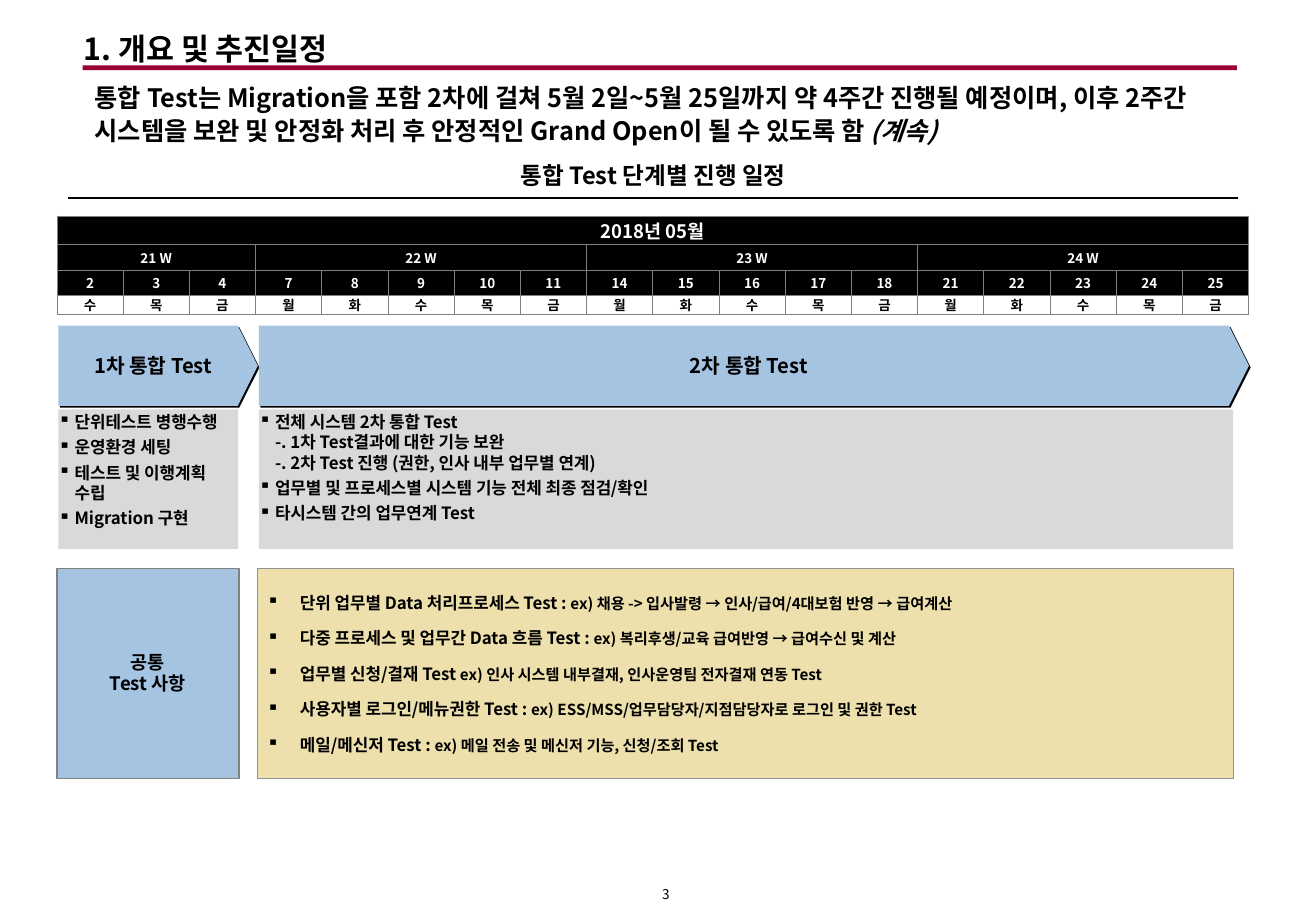
from dataclasses import dataclass

from lxml import etree
from pptx import Presentation
from pptx.dml.color import RGBColor
from pptx.enum.shapes import MSO_CONNECTOR, MSO_SHAPE
from pptx.enum.text import MSO_ANCHOR, PP_ALIGN
from pptx.oxml.ns import qn
from pptx.util import Cm, Pt

LEFT, CENTER = PP_ALIGN.LEFT, PP_ALIGN.CENTER
TOP, MIDDLE, BOTTOM = MSO_ANCHOR.TOP, MSO_ANCHOR.MIDDLE, MSO_ANCHOR.BOTTOM
RECTANGLE, PENTAGON = MSO_SHAPE.RECTANGLE, MSO_SHAPE.PENTAGON
STRAIGHT = MSO_CONNECTOR.STRAIGHT

FONT = "Noto Sans CJK KR"
BLACK, WHITE, BLUE, GREY = "000000", "FFFFFF", "A5C4E1", "D9D9D9"
SAND, CRIMSON, BORDER, SAND_BORDER = "EEE0AC", "990033", "808080", "919191"
DEFAULT_INSETS = (0.25, 0.13, 0.25, 0.13)
NO_INSETS = (0, 0, 0, 0)
TASK_INSETS = (0, 0.05, 0, 0.05)


@dataclass
class Run:
    text: str
    size: float
    bold: bool = True
    italic: bool = False
    color: str = BLACK


@dataclass
class TextStyle:
    align: PP_ALIGN = LEFT
    anchor: MSO_ANCHOR = TOP
    insets: tuple = DEFAULT_INSETS
    line_spacing: float = 1.0
    space_before: float = 0
    bullet_indent: float = 0
    wrap: bool = True


@dataclass
class Block:
    """A shape or, without a kind, a text box; box is left, top, width, height in cm."""
    box: tuple
    paragraphs: list
    style: TextStyle
    kind: MSO_SHAPE | None = None
    fill: str = WHITE
    line: str | None = None


TASKS = TextStyle(insets=TASK_INSETS, space_before=3, bullet_indent=0.34)
CHECKS = TextStyle(anchor=MIDDLE, insets=(0.2, 0.03, 0.03, 0.03), space_before=9, bullet_indent=0.69)
CENTERED = TextStyle(align=CENTER, anchor=MIDDLE)
LABEL = TextStyle(align=CENTER, anchor=MIDDLE, insets=NO_INSETS, line_spacing=0.95)
PAGE_NUMBER = TextStyle(align=CENTER, anchor=BOTTOM, insets=(0.05,) * 4, wrap=False)


def task_list(*texts: str) -> list:
    return [[Run(text, 10)] for text in texts]


CHECK_ITEMS = [
    ("단위 업무별 Data 처리프로세스 Test : ", "ex) 채용 -> 입사발령 → 인사/급여/4대보험 반영 → 급여계산"),
    ("다중 프로세스 및 업무간 Data 흐름 Test : ", "ex) 복리후생/교육 급여반영 → 급여수신 및 계산"),
    ("업무별 신청/결재 Test ", "ex) 인사 시스템 내부결재, 인사운영팀 전자결재 연동 Test"),
    ("사용자별 로그인/메뉴권한 Test : ", "ex) ESS/MSS/업무담당자/지점담당자로 로그인 및 권한 Test"),
    ("메일/메신저 Test : ", "ex) 메일 전송 및 메신저 기능, 신청/조회 Test"),
]

BLOCKS = [
    Block((13.69, 18.49, 0.46, 0.43), [[Run("3", 8, bold=False)]], PAGE_NUMBER),
    Block((1.73, 1.52, 24.05, 1.68), [[
        Run("통합 Test는 Migration을 포함 2차에 걸쳐 5월 2일~5월 25일까지 약 4주간 진행될 예정이며, "
            "이후 2주간 시스템을 보완 및 안정화 처리 후 안정적인 Grand Open이 될 수 있도록 함 ", 15),
        Run("(계속)", 15, italic=True)]], TextStyle(line_spacing=1.1)),
    Block((7.65, 3.23, 12.01, 0.86), [[Run("통합 Test 단계별 진행 일정", 14)]], TextStyle(align=CENTER)),
    Block((1.19, 11.89, 3.81, 4.39), [[Run("공통\nTest 사항", 11)]], LABEL, RECTANGLE, BLUE, BORDER),
    Block((1.22, 8.56, 3.76, 2.92),
          task_list("단위테스트 병행수행", "운영환경 세팅", "테스트 및 이행계획 수립", "Migration 구현"),
          TASKS, RECTANGLE, GREY),
    Block((1.22, 6.81, 4.17, 1.68), [[Run("1차 통합 Test", 12)]], CENTERED, PENTAGON, BLUE),
    Block((5.41, 6.81, 20.7, 1.68), [[Run("2차 통합 Test", 12)]], CENTERED, PENTAGON, BLUE),
    Block((5.38, 11.89, 20.4, 4.39),
          [[Run(check, 10), Run(example, 9)] for check, example in CHECK_ITEMS],
          CHECKS, RECTANGLE, SAND, SAND_BORDER),
    Block((5.41, 8.56, 20.37, 2.92),
          task_list("전체 시스템 2차 통합 Test\n-. 1차 Test결과에 대한 기능 보완\n"
                    "-. 2차 Test 진행 (권한, 인사 내부 업무별 연계)",
                    "업무별 및 프로세스별 시스템 기능 전체 최종 점검/확인",
                    "타시스템 간의 업무연계 Test"),
          TASKS, RECTANGLE, GREY),
    Block((1.5, 0.51, 17.6, 1.02), [[Run("1. 개요 및 추진일정", 18)]], TextStyle()),
    Block((1.73, 1.37, 24.13, 0.1), [], TextStyle(), RECTANGLE, CRIMSON),
]

WEEKS = {"21 W": (2, 3, 4), "22 W": range(7, 12), "23 W": range(14, 19), "24 W": range(21, 26)}
WEEKDAYS = "월화수목금"
FIRST_MONDAY = 7
ROW_HEIGHTS = (0.58, 0.56, 0.51, 0.41)


def rgb(color: str) -> RGBColor:
    return RGBColor.from_string(color)


def apply(target, values: dict) -> None:
    for name, value in values.items():
        setattr(target, name, value)


def add_run(paragraph, run: Run) -> None:
    for index, line in enumerate(run.text.split("\n")):
        if index:
            paragraph.add_line_break()
        text_run = paragraph.add_run()
        text_run.text = line
        apply(text_run.font, {"name": FONT, "size": Pt(run.size), "bold": run.bold, "italic": run.italic})
        text_run.font.color.rgb = rgb(run.color)
        latin = text_run.font._element.find(qn("a:latin"))
        east_asian = etree.Element(qn("a:ea"), typeface=FONT)
        latin.addnext(east_asian)


def add_bullet(paragraph, indent: float) -> None:
    properties = paragraph._p.get_or_add_pPr()
    properties.set("marL", str(Cm(indent)))
    properties.set("indent", str(-Cm(indent)))
    etree.SubElement(properties, qn("a:buChar"), char="▪")


def write_text(frame, paragraphs: list, style: TextStyle) -> None:
    left, top, right, bottom = map(Cm, style.insets)
    apply(frame, {"margin_left": left, "margin_top": top, "margin_right": right, "margin_bottom": bottom,
                  "word_wrap": style.wrap, "vertical_anchor": style.anchor})
    for index, runs in enumerate(paragraphs):
        paragraph = frame.add_paragraph() if index else frame.paragraphs[0]
        apply(paragraph, {"alignment": style.align, "line_spacing": style.line_spacing,
                          "space_before": Pt(style.space_before)})
        if style.bullet_indent:
            add_bullet(paragraph, style.bullet_indent)
        for run in runs:
            add_run(paragraph, run)


def add_hard_shadow(shape) -> None:
    effects = shape._element.spPr.find(qn("a:effectLst"))
    shadow = etree.SubElement(effects, qn("a:outerShdw"), dist=str(Pt(1.4)), dir="2700000",
                              algn="ctr", rotWithShape="0")
    etree.SubElement(shadow, qn("a:srgbClr"), val=BLACK)


def add_block(slide, block: Block) -> None:
    box = map(Cm, block.box)
    if block.kind is None:
        shape = slide.shapes.add_textbox(*box)
    else:
        shape = slide.shapes.add_shape(block.kind, *box)
        shape.shadow.inherit = False
        shape.fill.solid()
        shape.fill.fore_color.rgb = rgb(block.fill)
        if block.line:
            shape.line.color.rgb = rgb(block.line)
            shape.line.width = Pt(0.75)
        else:
            shape.line.fill.background()
        if block.kind == PENTAGON:
            shape.adjustments[0] = 0.25
            add_hard_shadow(shape)
    write_text(shape.text_frame, block.paragraphs, block.style)


def add_subtitle_rule(slide) -> None:
    rule = slide.shapes.add_connector(STRAIGHT, Cm(1.42), Cm(4.14), Cm(25.88), Cm(4.14))
    rule.line.color.rgb = rgb(BLACK)
    rule.line.width = Pt(0.75)
    etree.SubElement(rule._element.spPr, qn("a:effectLst"))


def add_borders(cell) -> None:
    properties = cell._tc.get_or_add_tcPr()
    for side in ("lnL", "lnR", "lnT", "lnB"):
        line = etree.SubElement(properties, qn(f"a:{side}"), w=str(Pt(0.5)))
        fill = etree.SubElement(line, qn("a:solidFill"))
        etree.SubElement(fill, qn("a:srgbClr"), val=BORDER)


def add_calendar(slide) -> None:
    days = [day for week in WEEKS.values() for day in week]
    last = len(days) - 1
    table = slide.shapes.add_table(len(ROW_HEIGHTS), len(days), Cm(1.19), Cm(4.52),
                                   Cm(24.92), Cm(sum(ROW_HEIGHTS))).table
    apply(table, {"first_row": False, "horz_banding": False})
    for row, height in zip(table.rows, ROW_HEIGHTS):
        row.height = Cm(height)
    for column in table.columns:
        column.width = Cm(24.92 / len(days))

    texts = {(0, 0): "2018년 05월"}
    table.cell(0, 0).merge(table.cell(0, last))
    for name, week in WEEKS.items():
        start = days.index(week[0])
        texts[1, start] = name
        table.cell(1, start).merge(table.cell(1, start + len(week) - 1))
    for column, day in enumerate(days):
        texts[2, column] = str(day)
        texts[3, column] = WEEKDAYS[(day - FIRST_MONDAY) % 7]

    style = TextStyle(align=CENTER, anchor=MIDDLE, insets=NO_INSETS)
    for row in range(len(ROW_HEIGHTS)):
        for column in range(len(days)):
            cell = table.cell(row, column)
            add_borders(cell)
            cell.fill.solid()
            cell.fill.fore_color.rgb = rgb(WHITE if row == 3 else BLACK)
            if (row, column) in texts:
                run = Run(texts[row, column], 8 if row else 11, color=BLACK if row == 3 else WHITE)
                write_text(cell.text_frame, [[run]], style)
                left, top, right, bottom = map(Cm, NO_INSETS)
                apply(cell, {"margin_left": left, "margin_top": top, "margin_right": right,
                             "margin_bottom": bottom, "vertical_anchor": MIDDLE})


def main() -> None:
    presentation = Presentation()
    apply(presentation, {"slide_width": Cm(27.51), "slide_height": Cm(19.05)})
    slide = presentation.slides.add_slide(presentation.slide_layouts[6])
    add_subtitle_rule(slide)
    add_calendar(slide)
    for block in BLOCKS:
        add_block(slide, block)
    presentation.save("out.pptx")


if __name__ == "__main__":
    main()
